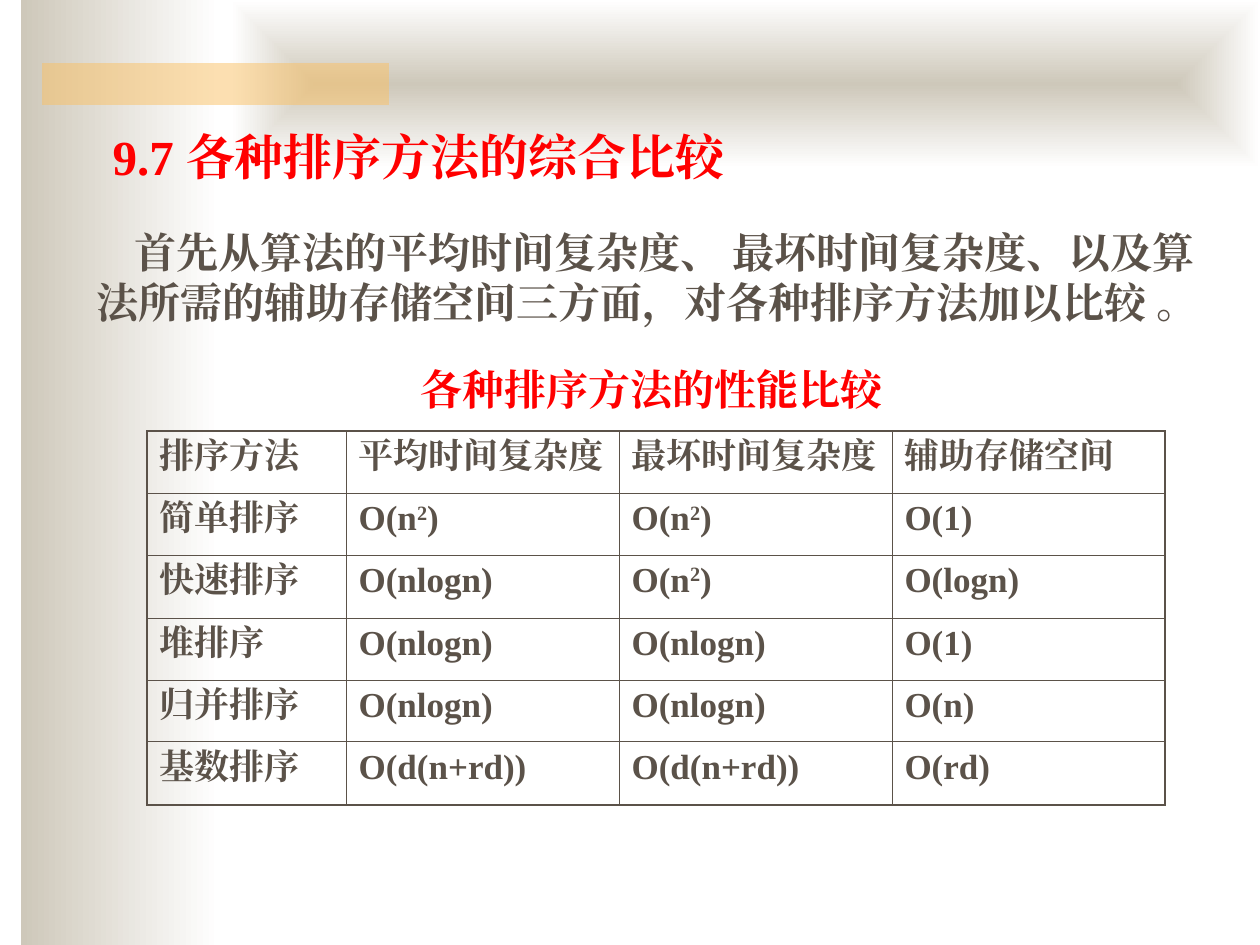
import dataclasses

import lxml.etree
import pptx
import pptx.dml.color
import pptx.enum.dml
import pptx.enum.shapes
import pptx.enum.text
import pptx.oxml
import pptx.oxml.ns
import pptx.util

EMU_PER_PX = 914400 / 126
LEFT = pptx.enum.text.PP_ALIGN.LEFT
CENTER = pptx.enum.text.PP_ALIGN.CENTER
qn = pptx.oxml.ns.qn


@dataclasses.dataclass(frozen=True)
class Theme:
    ink: str = "5B5249"
    accent: str = "FF0000"
    sand: str = "CEC8BA"
    paper: str = "FFFFFF"
    gold: str = "FAC164"
    latin: str = "Times New Roman"
    cjk: str = "Noto Sans CJK SC"
    title_size: int = 28
    body_size: int = 24
    cell_size: int = 20
    outer_line: float = 1.08
    inner_line: float = 0.45


THEME = Theme()

COMPARISON = [
    ("排序方法", "平均时间复杂度", "最坏时间复杂度", "辅助存储空间"),
    ("简单排序", "O(n^2)", "O(n^2)", "O(1)"),
    ("快速排序", "O(nlogn)", "O(n^2)", "O(logn)"),
    ("堆排序", "O(nlogn)", "O(nlogn)", "O(1)"),
    ("归并排序", "O(nlogn)", "O(nlogn)", "O(n)"),
    ("基数排序", "O(d(n+rd))", "O(d(n+rd))", "O(rd)"),
]


def px(length):
    return pptx.util.Emu(round(length * EMU_PER_PX))


def rgb(color):
    return pptx.dml.color.RGBColor.from_string(color)


def write(frame, text, *, size, color, latin=THEME.latin, ea=THEME.latin,
          align=LEFT, indent=0):
    """Fill a frame with one bold paragraph; ^ raises the character after it."""
    frame.word_wrap = True
    paragraph = frame.paragraphs[0]
    paragraph.alignment = align
    if indent:
        paragraph._p.get_or_add_pPr().set("indent", str(px(indent)))
    base, *raised = text.split("^")
    pieces = [(base, False)]
    for part in raised:
        pieces += [(part[0], True), (part[1:], False)]
    for piece, is_raised in pieces:
        run = paragraph.add_run()
        run.text = piece
        run.font.size = pptx.util.Pt(size)
        run.font.bold = True
        run.font.name = latin
        run.font.color.rgb = rgb(color)
        properties = run._r.get_or_add_rPr()
        properties.find(qn("a:latin")).addnext(
            properties.makeelement(qn("a:ea"), {"typeface": ea}))
        if is_raised:
            properties.set("baseline", "30000")


class SlideBuilder:
    def __init__(self, theme, slide):
        self.theme = theme
        self.slide = slide

    def band(self, left, top, width, height):
        band = self.slide.shapes.add_shape(
            pptx.enum.shapes.MSO_SHAPE.RECTANGLE,
            px(left), px(top), px(width), px(height))
        band.shadow.inherit = False
        band.line.fill.background()
        return band

    def gradient_band(self, *box, from_center=False):
        band = self.band(*box)
        band.fill.gradient()
        band.fill.gradient_angle = 0
        colors = (self.theme.sand, self.theme.paper)
        for position, (stop, color) in enumerate(zip(band.fill.gradient_stops, colors)):
            stop.position = position
            stop.color.rgb = rgb(color)
        if from_center:
            linear = band._element.spPr.find(qn("a:gradFill")).find(qn("a:lin"))
            rings = linear.makeelement(qn("a:path"), {"path": "rect"})
            lxml.etree.SubElement(rings, qn("a:fillToRect"),
                                  dict.fromkeys("ltrb", "50000"))
            linear.getparent().replace(linear, rings)

    def translucent_band(self, *box, color, percent):
        band = self.band(*box)
        band.fill.solid()
        band.fill.fore_color.rgb = rgb(color)
        solid = band._element.spPr.find(qn("a:solidFill"))
        lxml.etree.SubElement(solid[0], qn("a:alpha"), val=str(percent * 1000))

    def title(self, text, left, top, width, height):
        """Place the title placeholder in front of what is already drawn."""
        title = self.slide.shapes.title
        title.left, title.top = px(left), px(top)
        title.width, title.height = px(width), px(height)
        title.text_frame.vertical_anchor = pptx.enum.text.MSO_ANCHOR.TOP
        title.text_frame.auto_size = pptx.enum.text.MSO_AUTO_SIZE.NONE
        write(title.text_frame, text, size=self.theme.title_size,
              color=self.theme.accent)
        self.slide.shapes.element.append(title.element)

    def text(self, text, left, top, width, height, **style):
        box = self.slide.shapes.add_textbox(px(left), px(top), px(width), px(height))
        write(box.text_frame, text, size=self.theme.body_size, **style)

    def table(self, rows, left, top, column_widths, row_heights):
        table = self.slide.shapes.add_table(
            len(rows), len(column_widths), px(left), px(top),
            px(sum(column_widths)), px(sum(row_heights))).table
        table.first_row = table.horz_banding = False
        for column, width in zip(table.columns, column_widths):
            column.width = px(width)
        for row, height in zip(table.rows, row_heights):
            row.height = px(height)
        last_row, last_column = len(rows) - 1, len(column_widths) - 1
        for r, values in enumerate(rows):
            for c, value in enumerate(values):
                cell = table.cell(r, c)
                write(cell.text_frame, value, size=self.theme.cell_size,
                      color=self.theme.ink)
                cell.fill.background()
                self.borders(cell, L=c == 0, R=c == last_column,
                             T=r == 0, B=r == last_row)

    def borders(self, cell, **is_outer):
        properties = cell._tc.get_or_add_tcPr()
        for index, (side, outer) in enumerate(is_outer.items()):
            points = self.theme.outer_line if outer else self.theme.inner_line
            line = properties.makeelement(
                qn(f"a:ln{side}"), {"w": str(pptx.util.Pt(points))})
            solid = lxml.etree.SubElement(line, qn("a:solidFill"))
            lxml.etree.SubElement(solid, qn("a:srgbClr"), val=self.theme.ink)
            properties.insert(index, line)


def main():
    deck = pptx.Presentation()
    deck.slide_width, deck.slide_height = px(1260), px(945)
    builder = SlideBuilder(THEME, deck.slides.add_slide(deck.slide_layouts[5]))

    builder.gradient_band(21, 0, 199, 945)
    builder.gradient_band(231, 0, 1029, 168, from_center=True)
    builder.translucent_band(42, 63, 347, 42, color=THEME.gold, percent=50)
    builder.title("9.7 各种排序方法的综合比较", 100, 120, 1102, 72)
    builder.text("首先从算法的平均时间复杂度、 最坏时间复杂度、以及算法所需的辅助存储空间"
                 "三方面，对各种排序方法加以比较 。",
                 84, 220, 1134, 113, color=THEME.ink, indent=38)
    builder.table(COMPARISON, 147, 431, [199, 273, 273, 273], [62, 62, 63] * 2)
    builder.text("各种排序方法的性能比较", 184, 357, 935, 63,
                 color=THEME.accent, align=CENTER)
    deck.save("out.pptx")


if __name__ == "__main__":
    main()
